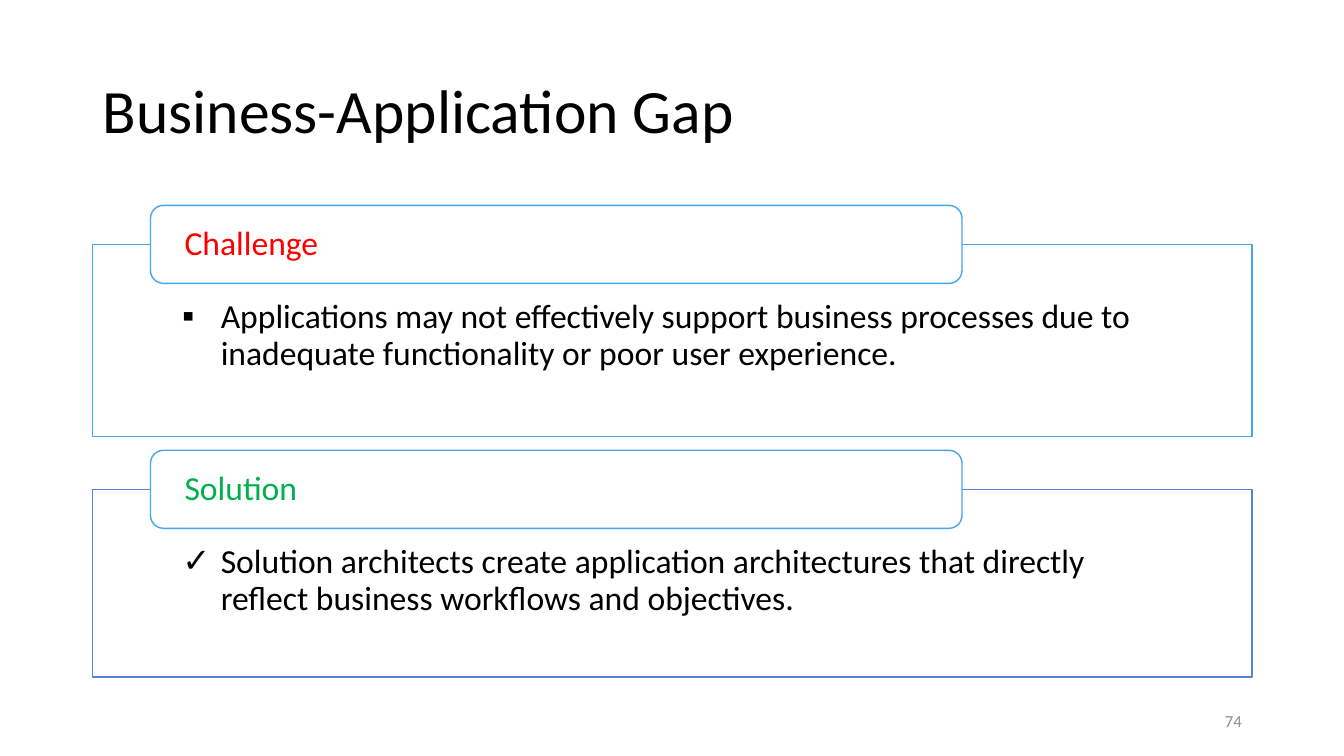
from lxml.etree import SubElement
from pptx import Presentation
from pptx.dml.color import RGBColor
from pptx.enum.shapes import MSO_SHAPE
from pptx.enum.text import MSO_ANCHOR, MSO_AUTO_SIZE, PP_ALIGN
from pptx.oxml.ns import qn
from pptx.util import Inches, Pt

COLORS = {
    "text": "000000", "white": "FFFFFF", "number": "8C8C8C",
    "sky": "45A5ED", "blue": "5982DB", "red": "FF0000", "green": "00B050",
}

# Percent of the slide's width or height
LEFT, WIDTH = 6.9, 86.25
TAB_LEFT, TAB_WIDTH, TAB_HEIGHT = 11.2, 60.38, 10.32
FIRST_TOP, STEP = 32.33, 32.4

# Heading, heading colour, panel line, panel height, bullet, text
SECTIONS = [
    ("Challenge", "red", "sky", 25.4, "▪",
     "Applications may not effectively support business processes "
     "due to inadequate functionality or poor user experience."),
    ("Solution", "green", "blue", 24.83, "✓",
     "Solution architects create application architectures that "
     "directly reflect business workflows and objectives."),
]


def color(name):
    return RGBColor.from_string(COLORS[name])


def write(shape, text, size=24, tint="text", align=PP_ALIGN.LEFT,
          anchor=MSO_ANCHOR.MIDDLE, insets=(0.1, 0.05, 0.1, 0.05),
          spacing=0.9, bullet=None):
    frame = shape.text_frame
    frame.word_wrap = True
    frame.auto_size = MSO_AUTO_SIZE.NONE
    frame.vertical_anchor = anchor
    (frame.margin_left, frame.margin_top,
     frame.margin_right, frame.margin_bottom) = map(Inches, insets)
    frame.text = text
    paragraph = frame.paragraphs[0]
    paragraph.alignment = align
    paragraph.line_spacing = spacing
    paragraph.space_before = paragraph.space_after = Pt(0)
    if bullet:
        properties = paragraph._p.get_or_add_pPr()
        properties.set("marL", str(Inches(0.38)))
        properties.set("indent", str(-Inches(0.38)))
        SubElement(properties, qn("a:buFont")).set("typeface", "Calibri")
        SubElement(properties, qn("a:buChar")).set("char", bullet)
    font = paragraph.runs[0].font
    font.name, font.size = "Calibri", Pt(size)
    font.color.rgb = color(tint)


class SlideBuilder:
    def __init__(self, presentation):
        self.presentation = presentation
        # Two Content layout: a title and two lists
        self.slide = presentation.slides.add_slide(presentation.slide_layouts[3])

    def box(self, left, top, width, height):
        across = self.presentation.slide_width / 100
        down = self.presentation.slide_height / 100
        return (round(left * across), round(top * down),
                round(width * across), round(height * down))

    def place(self, shape, *percents):
        shape.left, shape.top, shape.width, shape.height = self.box(*percents)

    def outline(self, shape, line):
        shape.fill.solid()
        shape.fill.fore_color.rgb = color("white")
        shape.line.color.rgb = color(line)
        shape.line.width = Pt(1)

    def title(self, text):
        shape = self.slide.shapes.title
        self.place(shape, LEFT, 5.32, WIDTH, 19.33)
        write(shape, text, size=44)

    def panel(self, index, top, height, line, bullet, text):
        shape = self.slide.placeholders[index]
        self.place(shape, LEFT, top, WIDTH, height)
        self.outline(shape, line)
        fill_color = shape._element.spPr.find(qn("a:solidFill"))[0]
        SubElement(fill_color, qn("a:alpha")).set("val", "90000")
        write(shape, text, anchor=MSO_ANCHOR.TOP, bullet=bullet,
              insets=(0.89, 0.55, 0.89, 0.19))

    def tab(self, middle, text, tint):
        shape = self.slide.shapes.add_shape(
            MSO_SHAPE.ROUNDED_RECTANGLE,
            *self.box(TAB_LEFT, middle - TAB_HEIGHT / 2, TAB_WIDTH, TAB_HEIGHT))
        shape.shadow.inherit = False
        self.outline(shape, "sky")
        write(shape, text, tint=tint, insets=(0.34 - 0.04, 0.04, 0.34, 0.04))

    def number(self, text):
        shape = self.slide.shapes.add_textbox(*self.box(70.65, 92.67, 22.5, 5.33))
        write(shape, text, size=12, tint="number", align=PP_ALIGN.RIGHT, spacing=1.0)


def main():
    presentation = Presentation()
    presentation.slide_width = Inches(13.33)
    presentation.slide_height = Inches(7.5)
    builder = SlideBuilder(presentation)

    builder.title("Business-Application Gap")

    # Each tab straddles the top edge of its panel
    for order, (heading, tint, line, height, bullet, text) in enumerate(SECTIONS):
        top = FIRST_TOP + order * STEP
        builder.panel(order + 1, top, height, line, bullet, text)
        builder.tab(top, heading, tint)

    builder.number("74")
    presentation.save("out.pptx")


if __name__ == "__main__":
    main()
